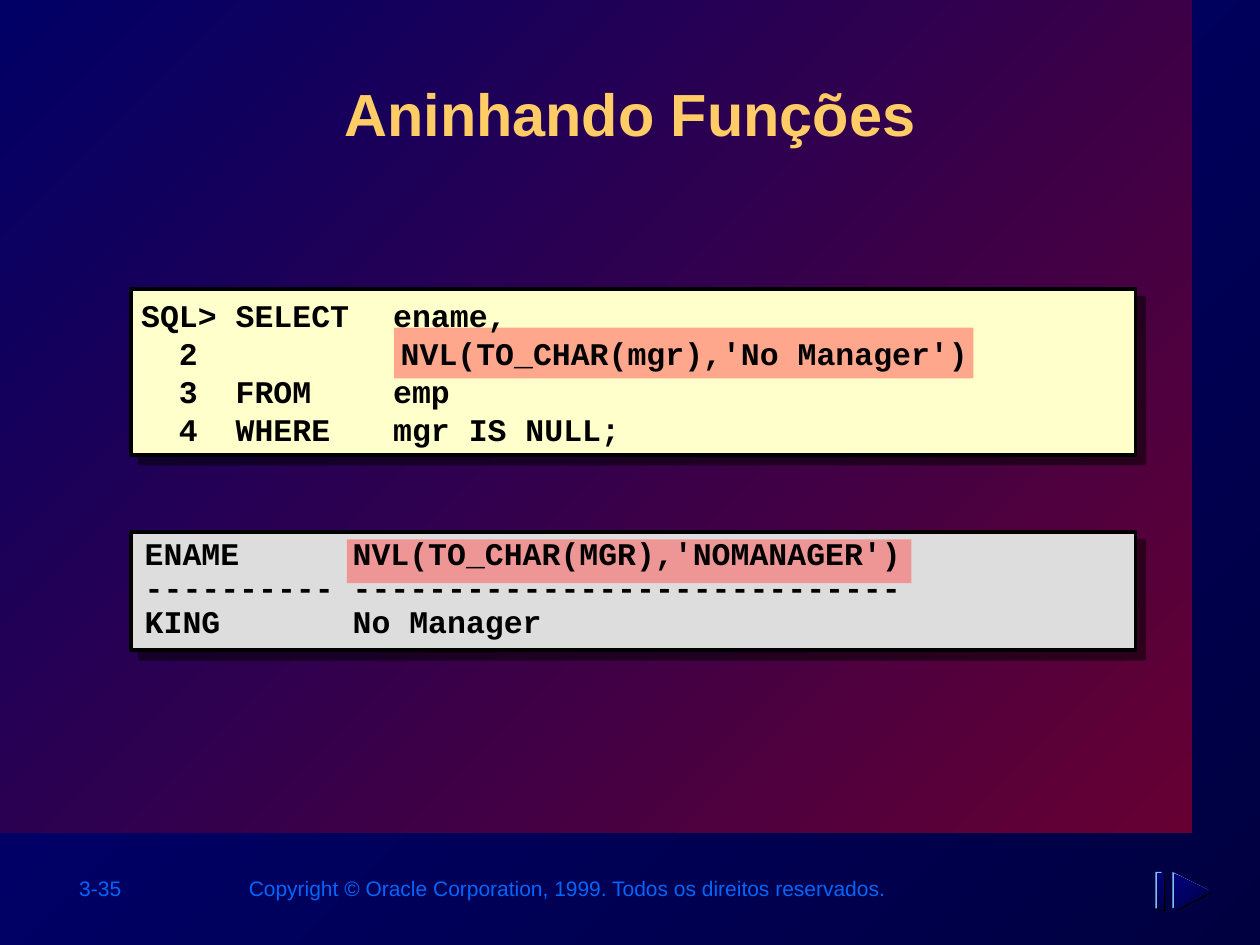
from lxml import etree
from pptx import Presentation
from pptx import util as u
from pptx.dml.color import RGBColor
from pptx.enum import shapes, text
from pptx.oxml import parse_xml
from pptx.oxml.ns import qn

Pt = u.Pt
NS = "http://schemas.openxmlformats.org/drawingml/2006/main"
COLORS = {
    "navy": "000080", "midnight": "000040", "blue": "000066", "wine": "660033",
    "footer": "0066FF", "title": "FFCC66", "black": "000000",
    "code": "FFFFCC", "result": "DDDDDD", "highlight": "FF5050", "edge": "7FC1EB",
}
BACKDROP = ("navy", "midnight")
TAB_STOPS = (94.3, 144)


def rgb(name):
    return RGBColor.from_string(COLORS[name])


def paint(fill, color):
    """Fill with one named colour, or diagonally with a pair of them."""
    if isinstance(color, str):
        fill.solid()
        fill.fore_color.rgb = rgb(color)
        return
    fill.gradient()
    fill.gradient_angle = 315
    for stop, name in zip(fill.gradient_stops, color):
        stop.color.rgb = rgb(name)


def shadow_xml(dist, alpha):
    return parse_xml(
        f'<a:effectLst xmlns:a="{NS}"><a:outerShdw blurRad="0" dist="{Pt(dist)}" '
        f'dir="2700000" algn="ctr" rotWithShape="0"><a:srgbClr val="{COLORS["black"]}">'
        f'<a:alpha val="{alpha * 1000}"/></a:srgbClr></a:outerShdw></a:effectLst>')


def add_rect(slide, x, y, w, h, color):
    sp = slide.shapes.add_shape(shapes.MSO_SHAPE.RECTANGLE, Pt(x), Pt(y), Pt(w), Pt(h))
    sp.shadow.inherit = False
    paint(sp.fill, color)
    sp.line.fill.background()
    return sp


def set_tabs(p):
    tabs = etree.SubElement(p._p.get_or_add_pPr(), qn("a:tabLst"))
    for stop in TAB_STOPS:
        etree.SubElement(tabs, qn("a:tab"), pos=str(Pt(stop)), algn="l")


def add_text(slide, x, y, w, h, lines, size, color, font="Arial", bold=False,
             align=text.PP_ALIGN.LEFT, anchor=text.MSO_ANCHOR.TOP,
             wrap=True, spacing=None, tabbed=False):
    tf = slide.shapes.add_textbox(Pt(x), Pt(y), Pt(w), Pt(h)).text_frame
    tf.word_wrap = wrap
    tf.vertical_anchor = anchor
    for i, line in enumerate(lines):
        p = tf.paragraphs[0] if i == 0 else tf.add_paragraph()
        p.alignment = align
        if spacing:
            p.line_spacing = spacing
        if tabbed:
            set_tabs(p)
        r = p.add_run()
        r.text = line
        r.font.name, r.font.size, r.font.bold = font, Pt(size), bold
        r.font.color.rgb = rgb(color)
    return tf


def add_backdrop(slide, w, h):
    paint(slide.background.fill, BACKDROP)
    add_rect(slide, 0, 0, w, h, ("blue", "wine"))


def add_title(slide, x, y, w, h, title):
    tf = add_text(slide, x, y, w, h, [title], 34, "title", bold=True,
                  align=text.PP_ALIGN.CENTER)
    rPr = tf.paragraphs[0].runs[0].font._element
    rPr.find(qn("a:solidFill")).addnext(shadow_xml(3, 100))


def add_listing(slide, x, y, w, h, color, mark, inset, lines, **style):
    """Shadowed panel of monospaced text; mark is the highlight's box in it."""
    panel = add_rect(slide, x, y, w, h, color)
    panel.line.color.rgb = rgb("black")
    panel.line.width = Pt(2)
    spPr = panel._element.spPr
    spPr.replace(spPr.find(qn("a:effectLst")), shadow_xml(7.1, 50))

    dx, dy, mark_w, mark_h = mark
    sp = add_rect(slide, x + dx, y + dy, mark_w, mark_h, "highlight")
    tint = sp._element.spPr.find(qn("a:solidFill"))[0]
    etree.SubElement(tint, qn("a:alpha"), val="50000")

    add_text(slide, x + inset, y, w, h, lines, 18, "black",
             font="Courier New", bold=True, **style)


def add_footer(slide, x, y, w, h, number, notice):
    add_text(slide, x, y, 80, h, [number], 12, "footer")
    add_text(slide, x + 94.3, y, w - 94.3, h, [notice], 12, "footer",
             align=text.PP_ALIGN.RIGHT, wrap=False)


def add_next_icon(slide, x, y, h):
    """Embossed bar and triangle: dark layer, light layer, then the face."""
    layers = ((2, 1.6, "black"), (0, 0, "edge"), (1, 0.9, BACKDROP))
    for dx, dy, color in layers:
        add_rect(slide, x + dx, y + dy, 3.6, h, color)
    for dx, dy, color in layers:
        left, top = x + 9.7 + dx, y + dy
        builder = slide.shapes.build_freeform(Pt(left), Pt(top))
        builder.add_line_segments(
            [(Pt(left), Pt(top + h)), (Pt(left + h), Pt(top + h / 2))], close=True)
        sp = builder.convert_to_shape()
        sp.shadow.inherit = False
        paint(sp.fill, color)
        sp.line.fill.background()


def main():
    prs = Presentation()
    prs.slide_width, prs.slide_height = Pt(720), Pt(540)
    slide = prs.slides.add_slide(prs.slide_layouts[6])
    add_backdrop(slide, 681, 475.5)
    add_footer(slide, 38.2, 496.8, 475.2, 21.6, "3-35",
               "Copyright © Oracle Corporation, 1999. Todos os direitos reservados.")
    add_title(slide, 72.7, 40.3, 574.6, 69.1, "Aninhando Funções")
    add_listing(slide, 75, 165, 574, 95, "code", (150.2, 22.2, 331, 29), -1.4, [
        "SQL> SELECT\tename,",
        "  2\t     NVL(TO_CHAR(mgr),'No Manager')",
        "  3  FROM\temp",
        "  4  WHERE\tmgr IS NULL;",
    ], anchor=text.MSO_ANCHOR.MIDDLE, tabbed=True)
    add_listing(slide, 75, 304, 574, 67.5, "result", (123.2, 4.2, 322.6, 25), 0.6, [
        "ENAME      NVL(TO_CHAR(MGR),'NOMANAGER')",
        "---------- -----------------------------",
        "KING       No Manager",
    ], spacing=0.9)
    add_next_icon(slide, 660.2, 498.2, 20.9)
    prs.save("out.pptx")


if __name__ == "__main__":
    main()
